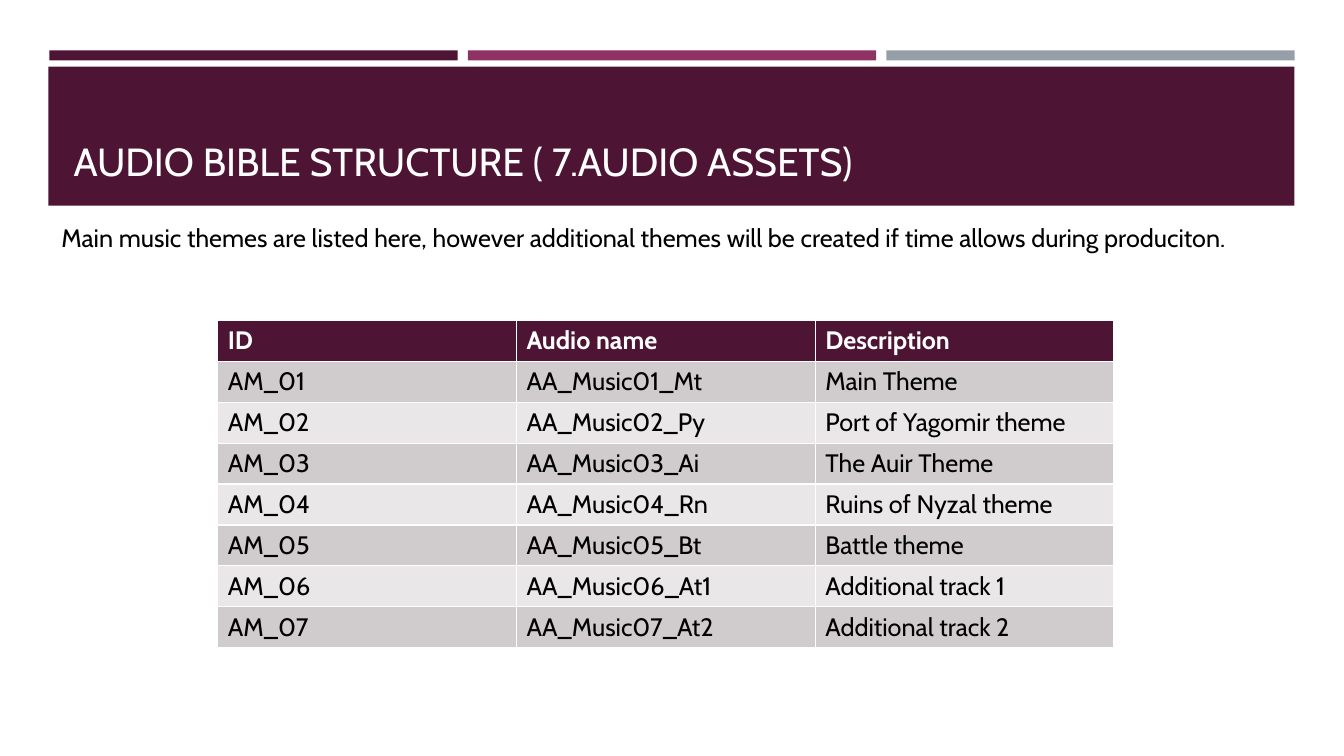
from pptx import Presentation
from pptx.dml.color import RGBColor
from pptx.enum.shapes import MSO_SHAPE
from pptx.enum.text import MSO_ANCHOR, MSO_AUTO_SIZE, PP_ALIGN
from pptx.util import Inches, Pt

COLORS = {
    "plum": "4D1434",
    "berry": "903163",
    "slate": "969FA7",
    "dark": "D0CCCE",
    "light": "E9E7E8",
    "white": "FFFFFF",
    "black": "000000",
}


def add_bar(left, top, width, height, color):
    bar = slide.shapes.add_shape(
        MSO_SHAPE.RECTANGLE, Inches(left), Inches(top), Inches(width), Inches(height))
    bar.shadow.inherit = False
    bar.fill.solid()
    bar.fill.fore_color.rgb = RGBColor.from_string(COLORS[color])
    bar.line.fill.background()


def set_text(frame, text, size, color, bold=False):
    frame.text = text
    font = frame.paragraphs[0].font
    font.name = "Cabin"
    font.size = Pt(size)
    font.bold = bold
    font.color.rgb = RGBColor.from_string(COLORS[color])


prs = Presentation()
prs.slide_width = Inches(13.33)
prs.slide_height = Inches(7.5)
slide = prs.slides.add_slide(prs.slide_layouts[5])

# Header bars and title band
for i, color in enumerate(["plum", "berry", "slate"]):
    add_bar(0.49 + 4.15 * i, 0.5, 4.05, 0.1, color)
add_bar(0.48, 0.66, 12.36, 1.38, "plum")

# Title, brought in front of the band
title = slide.shapes.title
title._element.getparent().append(title._element)
title.left, title.top = Inches(0.63), Inches(0.8)
title.width, title.height = Inches(12.06), Inches(1.08)
frame = title.text_frame
frame.auto_size = MSO_AUTO_SIZE.NONE
frame.vertical_anchor = MSO_ANCHOR.BOTTOM
set_text(frame, "AUDIO BIBLE STRUCTURE ( 7.AUDIO ASSETS)", 28, "white")
frame.paragraphs[0].alignment = PP_ALIGN.LEFT

# Table of music themes; the default style draws the white borders
rows = [
    ("ID", "Audio name", "Description"),
    ("AM_01", "AA_Music01_Mt", "Main Theme"),
    ("AM_02", "AA_Music02_Py", "Port of Yagomir theme"),
    ("AM_03", "AA_Music03_Ai", "The Auir Theme"),
    ("AM_04", "AA_Music04_Rn", "Ruins of Nyzal theme"),
    ("AM_05", "AA_Music05_Bt", "Battle theme"),
    ("AM_06", "AA_Music06_At1", "Additional track 1"),
    ("AM_07", "AA_Music07_At2", "Additional track 2"),
]
table = slide.shapes.add_table(
    len(rows), 3, Inches(2.16), Inches(3.18), Inches(8.89), Inches(3.24)).table
for r, row in enumerate(rows):
    head = r == 0
    fill = "plum" if head else "dark" if r % 2 else "light"
    for c, text in enumerate(row):
        cell = table.cell(r, c)
        cell.fill.solid()
        cell.fill.fore_color.rgb = RGBColor.from_string(COLORS[fill])
        set_text(cell.text_frame, text, 18, "white" if head else "black", head)

# Introductory note
note = slide.shapes.add_textbox(Inches(0.51), Inches(2.16), Inches(12.18), Inches(0.4))
note.text_frame.word_wrap = True
note.text_frame.auto_size = MSO_AUTO_SIZE.SHAPE_TO_FIT_TEXT
set_text(
    note.text_frame,
    "Main music themes are listed here, however additional themes "
    "will be created if time allows during produciton.",
    18, "black")

prs.save("out.pptx")
